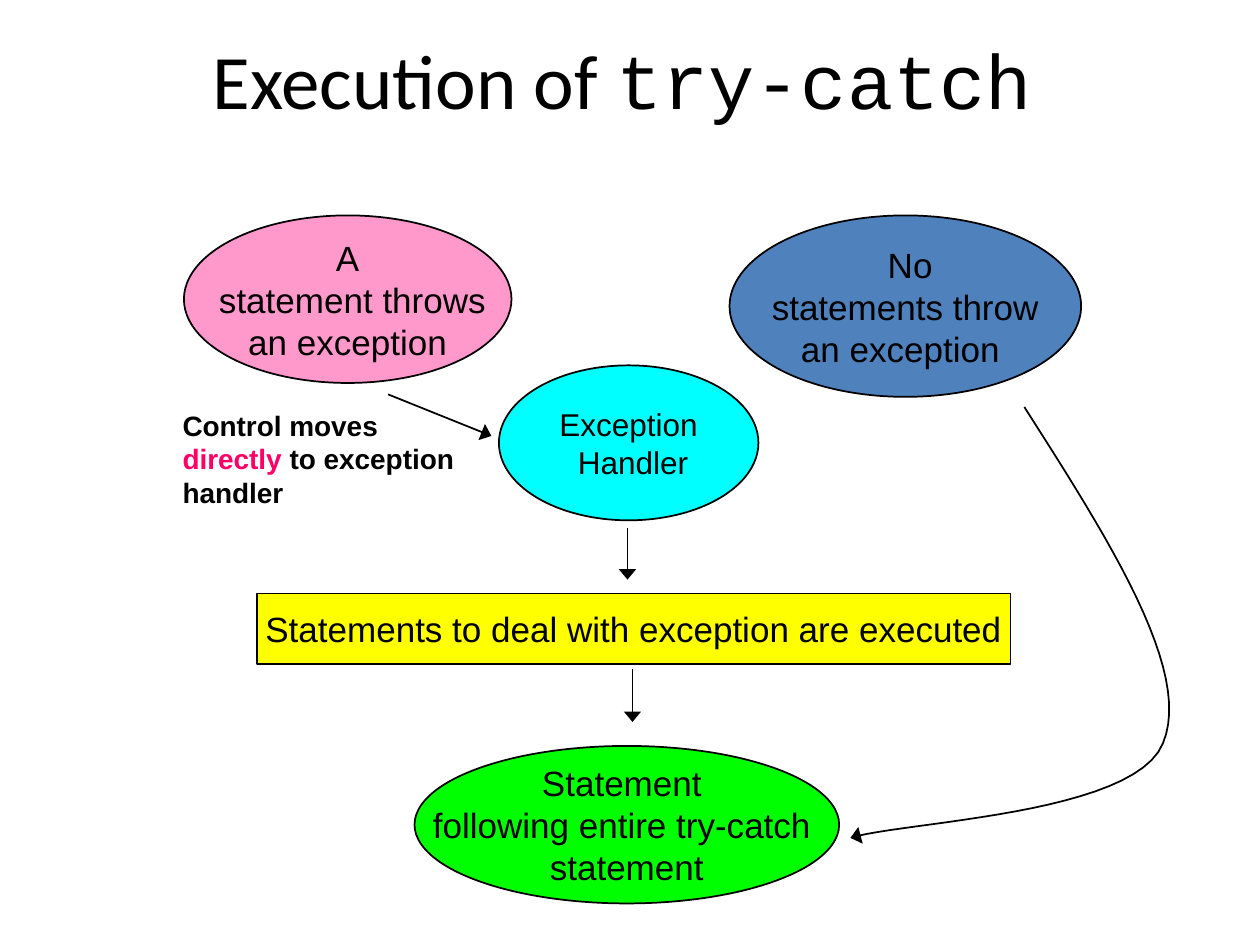
from dataclasses import dataclass
from lxml.etree import SubElement
from pptx import Presentation
from pptx.dml.color import RGBColor
from pptx.enum.shapes import MSO_CONNECTOR, MSO_SHAPE
from pptx.enum.text import MSO_ANCHOR, PP_ALIGN
from pptx.oxml.ns import qn
from pptx.util import Inches, Pt


@dataclass(frozen=True)
class Theme:
    ink: str = "000000"
    blue: str = "4F81BD"
    green: str = "00FF00"
    pink: str = "FF99CC"
    cyan: str = "00FFFF"
    yellow: str = "FFFF00"
    accent: str = "FF0066"
    title: int = 44
    body: int = 20
    small: int = 18
    note: int = 16
    font: str = "Arial"
    head: str = "Calibri"
    code: str = "Courier New"
    line: int = 1


theme = Theme()


def add_run(para, text, size, font=theme.font, color=theme.ink, bold=False):
    run = para.add_run()
    run.text = text
    run.font.size = Pt(size)
    run.font.name = font
    run.font.bold = bold
    run.font.color.rgb = RGBColor.from_string(color)


def set_line(shape, arrow=False):
    shape.line.color.rgb = RGBColor.from_string(theme.ink)
    shape.line.width = Pt(theme.line)
    if arrow:
        line = shape._element.spPr.find(qn("a:ln"))
        SubElement(line, qn("a:tailEnd"), type="triangle", w="lg", len="med")


deck = Presentation()
deck.slide_width, deck.slide_height = Inches(10), Inches(7.5)
slide = deck.slides.add_slide(deck.slide_layouts[6])
shapes = slide.shapes

title = shapes.add_textbox(Inches(0.65), Inches(0), Inches(8.58), Inches(1.25))
frame = title.text_frame
frame.word_wrap = True
frame.vertical_anchor = MSO_ANCHOR.MIDDLE
para = frame.paragraphs[0]
para.alignment = PP_ALIGN.CENTER
add_run(para, "Execution of ", theme.title, theme.head)
add_run(para, "try-catch", theme.title, theme.code)

oval, rect = MSO_SHAPE.OVAL, MSO_SHAPE.RECTANGLE
nodes = [
    (oval, (5.79, 1.71, 2.79, 1.44), theme.blue, theme.body,
     [" No", " statements throw ", "an exception "]),
    (oval, (3.29, 5.92, 3.37, 1.25), theme.green, theme.body,
     ["Statement ", "following entire try-catch ", "statement"]),
    (oval, (1.46, 1.71, 2.6, 1.33), theme.pink, theme.body,
     ["A", " statement throws", "an exception"]),
    (oval, (3.96, 2.9, 2.06, 1.23), theme.cyan, theme.small,
     ["Exception", " Handler"]),
    (rect, (2.04, 4.71, 5.98, 0.56), theme.yellow, theme.body,
     ["Statements to deal with exception are executed"]),
]
for kind, box, fill, size, lines in nodes:
    node = shapes.add_shape(kind, *map(Inches, box))
    node.shadow.inherit = False
    node.fill.solid()
    node.fill.fore_color.rgb = RGBColor.from_string(fill)
    set_line(node)
    frame = node.text_frame
    frame.word_wrap = False
    frame.vertical_anchor = MSO_ANCHOR.MIDDLE
    for i, text in enumerate(lines):
        para = frame.add_paragraph() if i else frame.paragraphs[0]
        para.alignment = PP_ALIGN.CENTER
        add_run(para, text, size)

arrows = [
    (3.08, 3.13, 3.9, 3.46),
    (4.98, 4.19, 4.98, 4.6),
    (5.02, 5.31, 5.02, 5.73),
]
for ends in arrows:
    arrow = shapes.add_connector(MSO_CONNECTOR.STRAIGHT, *map(Inches, ends))
    set_line(arrow, arrow=True)
    SubElement(arrow._element.spPr, qn("a:effectLst"))

curves = [
    [(8.13, 3.23), (8.8, 4.28), (9.47, 5.33), (9.23, 5.9)],
    [(9.23, 5.9), (9, 6.47), (7.16, 6.52), (6.75, 6.65)],
]
steps = 24
points = []
for curve in curves:
    for i in range(1, steps + 1):
        t = i / steps
        parts = ((1 - t) ** 3, 3 * t * (1 - t) ** 2, 3 * t * t * (1 - t), t ** 3)
        points.append([Inches(sum(w * p[k] for w, p in zip(parts, curve)))
                       for k in (0, 1)])
pen = shapes.build_freeform(*map(Inches, curves[0][0]))
pen.add_line_segments(points, close=False)
bypass = pen.convert_to_shape()
bypass.shadow.inherit = False
bypass.fill.background()
set_line(bypass, arrow=True)

note = shapes.add_textbox(Inches(1.35), Inches(3.19), Inches(2.48), Inches(0.9))
note.text_frame.word_wrap = True
para = note.text_frame.paragraphs[0]
add_run(para, "Control moves ", theme.note, bold=True)
add_run(para, "directly", theme.note, color=theme.accent, bold=True)
add_run(para, " to exception handler", theme.note, bold=True)

deck.save("out.pptx")
